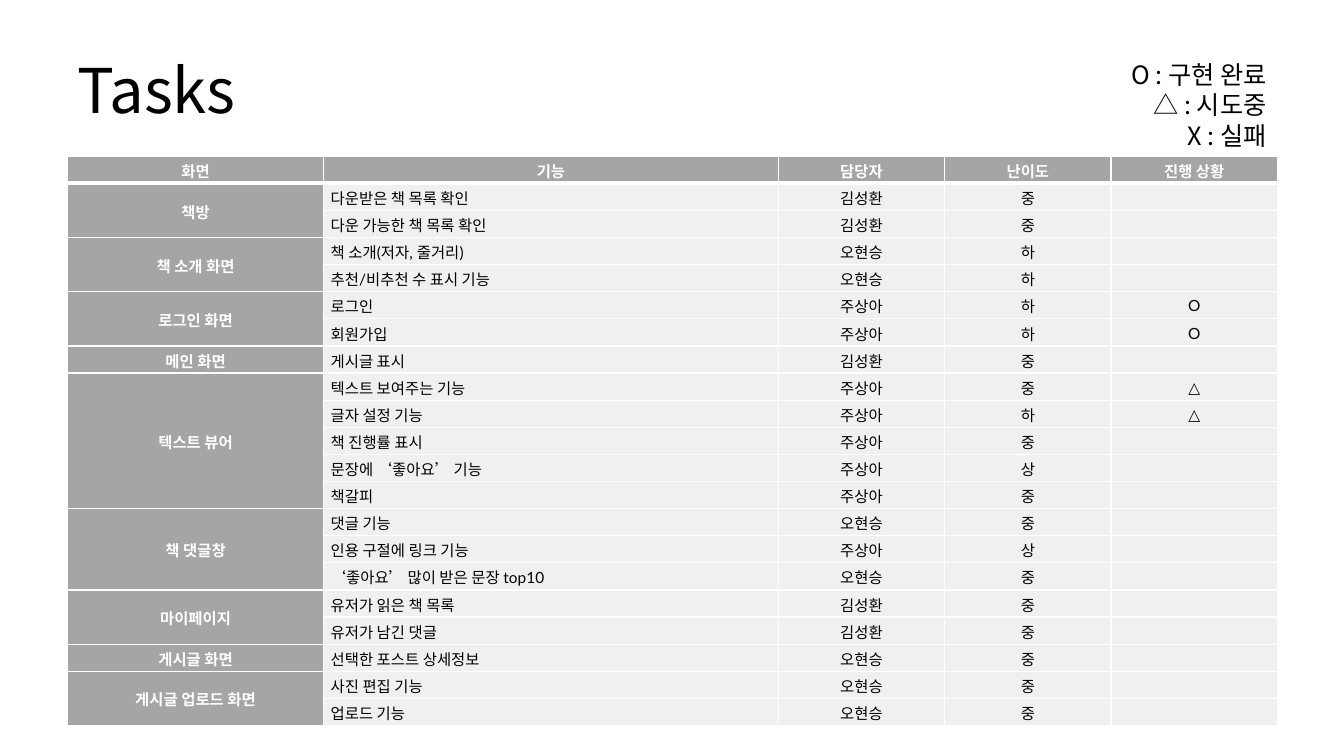
from dataclasses import dataclass

from lxml import etree
from pptx import Presentation
from pptx.dml.color import RGBColor
from pptx.enum.text import MSO_ANCHOR, MSO_AUTO_SIZE, PP_ALIGN
from pptx.oxml.ns import qn
from pptx.util import Inches, Pt

LEFT, CENTER, RIGHT, JUSTIFY = PP_ALIGN.LEFT, PP_ALIGN.CENTER, PP_ALIGN.RIGHT, PP_ALIGN.JUSTIFY
MIDDLE = MSO_ANCHOR.MIDDLE
GROW = MSO_AUTO_SIZE.SHAPE_TO_FIT_TEXT


@dataclass(frozen=True)
class Theme:
    black: str = "000000"
    white: str = "FFFFFF"
    head_fill: str = "A5A5A5"
    body_fill: str = "F0F0F0"
    korean: str = "Noto Sans CJK KR"
    latin: str = "Lato"
    title_size: int = 44
    legend_size: int = 18
    cell_size: int = 11
    thin: int = 1
    thick: int = 3


theme = Theme()


def add_span(para, text, size, font, color, align, bold=False):
    para.alignment = align
    if not text:
        # An empty cell still needs its type size, or the row grows
        etree.SubElement(para._p, qn("a:endParaRPr"), sz=str(size * 100))
        return
    span = para.add_run()
    span.text = text
    span.font.size = Pt(size)
    span.font.name = font
    span.font.bold = bold
    span.font.color.rgb = RGBColor.from_string(color)
    etree.SubElement(span._r.get_or_add_rPr(), qn("a:ea"), typeface=theme.korean)


def add_border(cell, edge, points):
    line = etree.SubElement(cell._tc.get_or_add_tcPr(), qn(f"a:{edge}"), w=str(Pt(points)))
    fill = etree.SubElement(line, qn("a:solidFill"))
    etree.SubElement(fill, qn("a:srgbClr"), val=theme.white)


HEADINGS = ["화면", "기능", "담당자", "난이도", "진행 상황"]
COLUMN_WIDTHS = [2.54, 4.51, 1.65, 1.65, 1.65]

# Screen, then its tasks: feature, owner, difficulty, progress
SCREENS = [
    ("책방", [
        ("다운받은 책 목록 확인", "김성환", "중", ""),
        ("다운 가능한 책 목록 확인", "김성환", "중", ""),
    ]),
    ("책 소개 화면", [
        ("책 소개(저자, 줄거리)", "오현승", "하", ""),
        ("추천/비추천 수 표시 기능", "오현승", "하", ""),
    ]),
    ("로그인 화면", [
        ("로그인", "주상아", "하", "O"),
        ("회원가입", "주상아", "하", "O"),
    ]),
    ("메인 화면", [("게시글 표시", "김성환", "중", "")]),
    ("텍스트 뷰어", [
        ("텍스트 보여주는 기능", "주상아", "중", "△"),
        ("글자 설정 기능", "주상아", "하", "△"),
        ("책 진행률 표시", "주상아", "중", ""),
        ("문장에 ‘좋아요’ 기능", "주상아", "상", ""),
        ("책갈피", "주상아", "중", ""),
    ]),
    ("책 댓글창", [
        ("댓글 기능", "오현승", "중", ""),
        ("인용 구절에 링크 기능", "주상아", "상", ""),
        ("‘좋아요’ 많이 받은 문장 top10", "오현승", "중", ""),
    ]),
    ("마이페이지", [
        ("유저가 읽은 책 목록", "김성환", "중", ""),
        ("유저가 남긴 댓글", "김성환", "중", ""),
    ]),
    ("게시글 화면", [("선택한 포스트 상세정보", "오현승", "중", "")]),
    ("게시글 업로드 화면", [
        ("사진 편집 기능", "오현승", "중", ""),
        ("업로드 기능", "오현승", "중", ""),
    ]),
]

deck = Presentation()
deck.slide_width, deck.slide_height = Inches(13.33), Inches(7.5)
page = deck.slides.add_slide(deck.slide_layouts[6])

# Title
title = page.shapes.add_textbox(Inches(0.67), Inches(0.3), Inches(12), Inches(1.25))
title.text_frame.word_wrap = True
title.text_frame.vertical_anchor = MIDDLE
para = title.text_frame.paragraphs[0]
para.line_spacing = 0.9
add_span(para, "Tasks", theme.title_size, theme.korean, theme.black, LEFT)

# Table rows, with the screen name only on the first row of its group
rows = [HEADINGS]
groups = []
for screen, tasks in SCREENS:
    groups.append((len(rows), len(rows) + len(tasks) - 1))
    for index, task in enumerate(tasks):
        rows.append(["" if index else screen, *task])

# Table frame
table_height = Inches(5.65)
frame = page.shapes.add_table(len(rows), len(HEADINGS), Inches(0.67), Inches(1.55),
                              Inches(12), table_height)
table = frame.table
for column, width in zip(table.columns, COLUMN_WIDTHS):
    column.width = Inches(width)
for row in table.rows:
    row.height = table_height // len(rows)

# Cells
for r, values in enumerate(rows):
    for c, text in enumerate(values):
        cell = table.cell(r, c)
        is_head = r == 0 or c == 0
        cell.margin_left = cell.margin_right = Inches(0.07)
        cell.margin_top = cell.margin_bottom = 0
        cell.vertical_anchor = MIDDLE
        for edge in ("lnL", "lnR", "lnT", "lnB"):
            under_heading = (r, edge) in ((0, "lnB"), (1, "lnT"))
            add_border(cell, edge, theme.thick if under_heading else theme.thin)
        cell.fill.solid()
        cell.fill.fore_color.rgb = RGBColor.from_string(
            theme.head_fill if is_head else theme.body_fill)
        para = cell.text_frame.paragraphs[0]
        para.line_spacing = 1.07
        add_span(para, text, theme.cell_size, theme.latin,
                 theme.white if is_head else theme.black,
                 JUSTIFY if c == 1 and r > 0 else CENTER, is_head)

# One merged cell per screen
for first, last in groups:
    if last > first:
        table.cell(first, 0).merge(table.cell(last, 0))

# Legend of progress marks
legend = page.shapes.add_textbox(Inches(11.01), Inches(0.54), Inches(1.65), Inches(1.01))
legend.text_frame.word_wrap = True
legend.text_frame.auto_size = GROW
for index, text in enumerate(["O : 구현 완료", "△ : 시도중", "X : 실패"]):
    para = legend.text_frame.add_paragraph() if index else legend.text_frame.paragraphs[0]
    add_span(para, text, theme.legend_size, theme.korean, theme.black, RIGHT)

deck.save("out.pptx")
